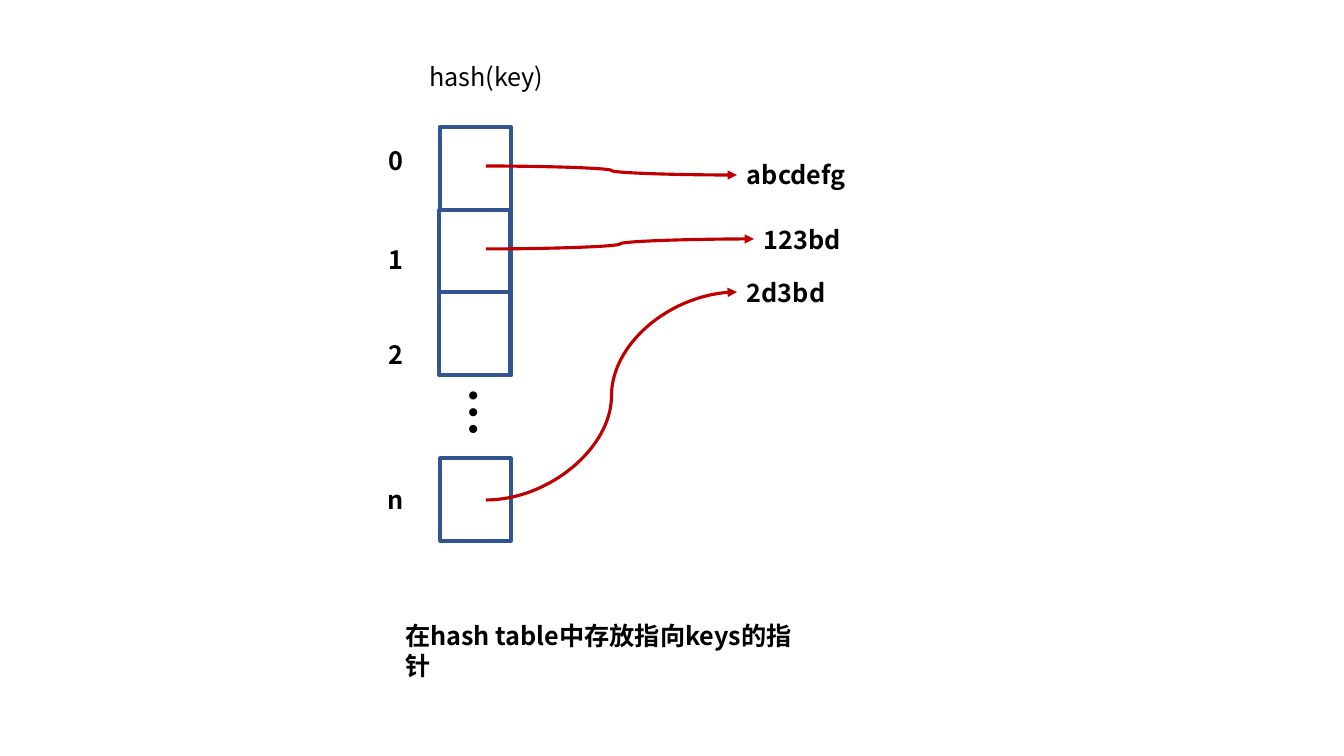
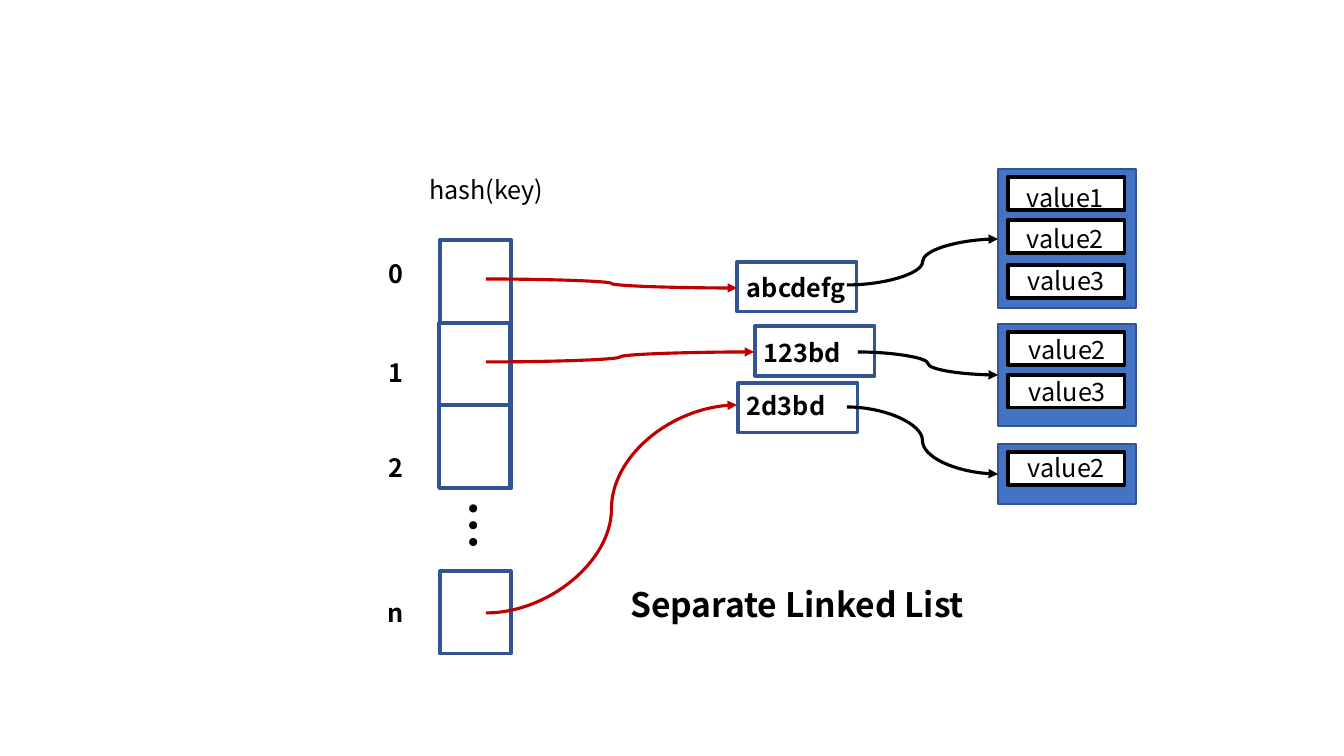
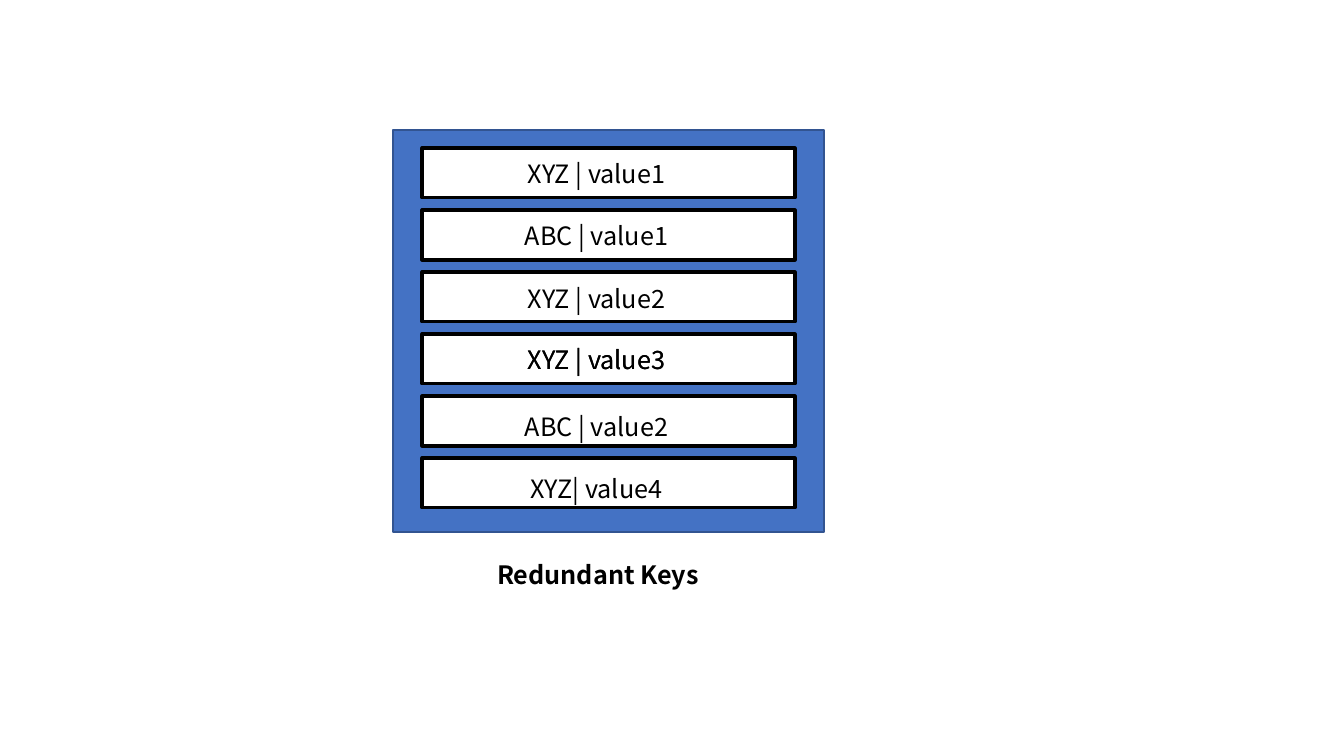
from lxml import etree
from pptx import Presentation
from pptx.dml.color import RGBColor
from pptx.enum.shapes import MSO_CONNECTOR, MSO_SHAPE
from pptx.enum.text import MSO_ANCHOR, MSO_AUTO_SIZE, PP_ALIGN
from pptx.oxml.ns import qn
from pptx.util import Pt

RECTANGLE = MSO_SHAPE.RECTANGLE
CURVE = MSO_CONNECTOR.CURVE
TOP = MSO_ANCHOR.TOP
GROW = MSO_AUTO_SIZE.SHAPE_TO_FIT_TEXT
LEFT, CENTER = PP_ALIGN.LEFT, PP_ALIGN.CENTER

# Shared style
SCALE = 914400 / 100.8
FONT = "Noto Sans CJK SC"
BLACK, WHITE, RED = "000000", "FFFFFF", "C00000"
PANEL_BLUE, EDGE_BLUE = "4472C4", "325491"
TEXT_HEIGHT = 40


def add_text(slide, text, left, top, width, height=TEXT_HEIGHT, *, size=18,
             bold=False, align=LEFT, vertical=False, title=False):
    box = [round(value * SCALE) for value in (left, top, width, height)]
    if title:
        shape = slide.shapes.title
        shape.left, shape.top, shape.width, shape.height = box
    else:
        shape = slide.shapes.add_textbox(*box)
    frame = shape.text_frame
    frame.word_wrap = True
    frame.auto_size = GROW
    frame.vertical_anchor = TOP
    if vertical:
        frame._txBody.bodyPr.set("vert", "eaVert")
    paragraph = frame.paragraphs[0]
    paragraph.alignment = align
    run = paragraph.add_run()
    run.text = text
    run.font.size = Pt(size)
    run.font.bold = bold
    run.font.color.rgb = RGBColor.from_string(BLACK)
    run.font.name = FONT
    east_asian = etree.SubElement(run.font._element, qn("a:ea"))
    east_asian.set("typeface", FONT)


def add_box(slide, left, top, width, height, fill=WHITE, line=EDGE_BLUE, weight=2.25):
    shape = slide.shapes.add_shape(
        RECTANGLE, *[round(value * SCALE) for value in (left, top, width, height)])
    shape.shadow.inherit = False
    if fill:
        shape.fill.solid()
        shape.fill.fore_color.rgb = RGBColor.from_string(fill)
    else:
        shape.fill.background()
    shape.line.color.rgb = RGBColor.from_string(line)
    shape.line.width = Pt(weight)


presentation = Presentation()
presentation.slide_width = round(1344 * SCALE)
presentation.slide_height = round(756 * SCALE)
title_only = presentation.slide_layouts[5]
pointer_slide, list_slide, redundant_slide = [
    presentation.slides.add_slide(title_only) for _ in range(3)]

# Titles
add_text(pointer_slide, "在hash table中存放指向keys的指针", 395, 615, 426,
         bold=True, title=True)
add_text(list_slide, "Separate Linked List", 620, 579, 388, 50,
         size=24, bold=True, title=True)
add_text(redundant_slide, "Redundant Keys", 401, 554, 394,
         bold=True, align=CENTER, title=True)

# Hash table with its keys, lower on the second slide
CELL_WIDTH, CELL_HEIGHT = 71, 83
cells = [(440, 127), (439, 210), (439, 292), (440, 458)]
indexes = [("0", 140), ("1", 239), ("2", 334), ("n", 479)]
keys = [("abcdefg", 737, 154), ("123bd", 754, 219), ("2d3bd", 737, 272)]
pointers = [(166, 737, 175), (249, 754, 239), (500, 737, 292)]
arrows = []
for slide, shift in [(pointer_slide, 0), (list_slide, 113)]:
    add_box(slide, 440, 127 + shift, CELL_WIDTH, 3 * CELL_HEIGHT)
    for left, top in cells:
        add_box(slide, left, top + shift, CELL_WIDTH, CELL_HEIGHT)
    add_text(slide, "…", 428, 378 + shift, 82, 80, size=36, bold=True,
             align=CENTER, vertical=True)
    add_text(slide, "hash(key)", 361, 56 + shift, 251, align=CENTER)
    for index, top in indexes:
        add_text(slide, index, 361, top + shift, 69, bold=True, align=CENTER)
    for key, left, top in keys:
        add_text(slide, key, left, top + shift, 138, bold=True)
    for start, right, end in pointers:
        arrows.append((slide, RED, 486, start + shift, right, end + shift))

# Frames around the keys
for left, top in [(737, 262), (755, 326), (738, 383)]:
    add_box(list_slide, left, top, 120, 50, fill=None)

# Value lists: panel top and height, then box top, text left, text top, value
value_lists = [
    (169, 139, [(177, 1017, 177, "value1"), (220, 1017, 218, "value2"),
                (265, 1018, 260, "value3")]),
    (324, 102, [(332, 1019, 329, "value2"), (375, 1019, 371, "value3")]),
    (444, 60, [(452, 1018, 447, "value2")]),
]
for panel_top, panel_height, values in value_lists:
    add_box(list_slide, 998, panel_top, 138, panel_height, PANEL_BLUE, weight=1)
    for box_top, text_left, text_top, value in values:
        add_box(list_slide, 1008, box_top, 117, 33, line=BLACK)
        add_text(list_slide, value, text_left, text_top, 100)
for left, start, end in [(847, 285, 239), (858, 352, 375), (847, 407, 474)]:
    arrows.append((list_slide, BLACK, left, start, 998, end))

# Curved arrows
for slide, color, *ends in arrows:
    connector = slide.shapes.add_connector(CURVE, *[round(value * SCALE) for value in ends])
    connector.line.color.rgb = RGBColor.from_string(color)
    connector.line.width = Pt(2.25)
    etree.SubElement(connector.line._get_or_add_ln(), qn("a:tailEnd")).set("type", "triangle")
    etree.SubElement(connector._element.spPr, qn("a:effectLst"))

# Redundant keys; the doubled entry is overprinted to look heavier
add_box(redundant_slide, 393, 130, 431, 402, PANEL_BLUE, weight=1)
for row in range(6):
    add_box(redundant_slide, 422, 148 + 62 * row, 373, 50, line=BLACK)
entries = [("XYZ | value1", 153), ("ABC | value1", 215), ("XYZ | value2", 278),
           ("XYZ | value3", 339), ("XYZ | value3", 339), ("ABC | value2", 406),
           ("XYZ| value4", 468)]
for entry, top in entries:
    add_text(redundant_slide, entry, 455, top, 283, align=CENTER)

presentation.save("out.pptx")
